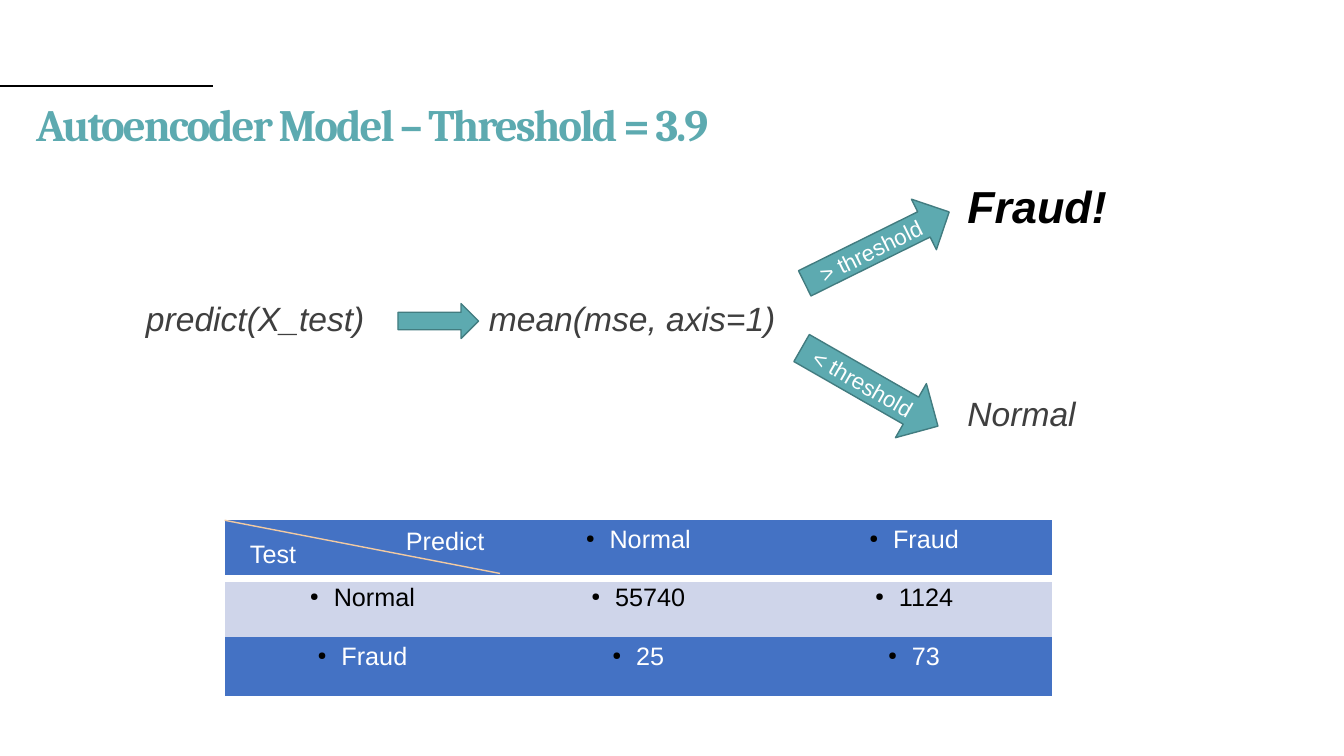
import pptx
import pptx.dml.color
import pptx.enum.shapes
import pptx.enum.text
import pptx.oxml
import pptx.oxml.ns
import pptx.util
from pptx.util import Cm

COLOURS = {
    "teal": "5DAAB0", "teal_edge": "427C80", "grey": "3F3F3F",
    "black": "000000", "white": "FFFFFF", "blue": "4472C4",
    "pale": "CFD5EA", "peach": "F2CAA2",
}
ANCHOR = pptx.enum.text.MSO_ANCHOR
ALIGN = pptx.enum.text.PP_ALIGN
NO_GRID_STYLE = "{2D5ABB26-0587-4C30-8999-92F81FD0307C}"


def colour(name):
    return pptx.dml.color.RGBColor.from_string(COLOURS[name])


def element(xml):
    """Parse one drawing element, declaring its namespace."""
    tag, rest = xml[1:].split(" ", 1)
    return pptx.oxml.parse_xml(f"<{tag} {pptx.oxml.ns.nsdecls('a')} {rest}")


class SlideBuilder:
    body = {"name": "Arial", "size": 24, "colour": "grey", "italic": True}
    label = {"name": "Arial", "size": 16, "colour": "white"}
    cell = {"name": "Arial", "size": 18, "colour": "white"}

    def __init__(self, page):
        self.page = page

    def add_span(self, para, text, style):
        span = para.add_run()
        span.text = text
        for key, value in style.items():
            if key == "colour":
                span.font.color.rgb = colour(value)
            elif key == "size":
                span.font.size = pptx.util.Pt(value)
            else:
                setattr(span.font, key, value)
        return span

    def text(self, text, left, top, width, height, style, **frame_format):
        box = self.page.shapes.add_textbox(Cm(left), Cm(top), Cm(width), Cm(height))
        frame = box.text_frame
        for key, value in {"word_wrap": True, **frame_format}.items():
            setattr(frame, key, value)
        para = frame.paragraphs[0]
        return para, self.add_span(para, text, style)

    def arrow(self, left, top, width, height, rotation=0, text=""):
        shape = self.page.shapes.add_shape(
            pptx.enum.shapes.MSO_SHAPE.RIGHT_ARROW,
            Cm(left), Cm(top), Cm(width), Cm(height))
        shape.rotation = rotation
        shape.shadow.inherit = False
        shape.fill.solid()
        shape.fill.fore_color.rgb = colour("teal")
        shape.line.color.rgb = colour("teal_edge")
        shape.line.width = pptx.util.Pt(1)
        if text:
            shape.text_frame.vertical_anchor = ANCHOR.MIDDLE
            para = shape.text_frame.paragraphs[0]
            para.alignment = ALIGN.CENTER
            self.add_span(para, text, self.label)

    def line(self, left, top, right, bottom, name, weight):
        line = self.page.shapes.add_connector(
            pptx.enum.shapes.MSO_CONNECTOR.STRAIGHT,
            Cm(left), Cm(top), Cm(right), Cm(bottom))
        line.line.color.rgb = colour(name)
        line.line.width = pptx.util.Pt(weight)
        line._element.spPr.append(element("<a:effectLst />"))

    def bullet(self, para):
        properties = para._p.get_or_add_pPr()
        properties.set("marL", str(Cm(0.6)))
        properties.set("indent", str(-Cm(0.6)))
        for xml in ('<a:buClr ><a:srgbClr val="%s"/></a:buClr>' % COLOURS["black"],
                    '<a:buSzPct val="45000"/>', '<a:buChar char="●"/>'):
            properties.append(element(xml))

    def table(self, rows, row_styles, left, top, width, height):
        table = self.page.shapes.add_table(
            len(rows), len(rows[0]), Cm(left), Cm(top), Cm(width), Cm(height)).table
        table.first_row = table.horz_banding = False
        table._tbl.tblPr[0].text = NO_GRID_STYLE
        for r, (values, (fill, ink)) in enumerate(zip(rows, row_styles)):
            for c, value in enumerate(values):
                cell = table.cell(r, c)
                cell.fill.solid()
                cell.fill.fore_color.rgb = colour(fill)
                if r == 0:
                    cell._tc.get_or_add_tcPr().insert(0, element(
                        '<a:lnB w="76200"><a:solidFill><a:srgbClr val="%s"/>'
                        "</a:solidFill></a:lnB>" % COLOURS["white"]))
                if value:
                    para = cell.text_frame.paragraphs[0]
                    para.alignment = ALIGN.CENTER
                    self.bullet(para)
                    self.add_span(para, value, {**self.cell, "colour": ink})


def main():
    deck = pptx.Presentation()
    deck.slide_width, deck.slide_height = Cm(33.87), Cm(19.05)
    slide = SlideBuilder(deck.slides.add_slide(deck.slide_layouts[6]))

    # Heading with its rule
    slide.line(0, 2.17, 5.36, 2.17, "black", 1.5)
    para, span = slide.text(
        "Autoencoder Model – Threshold = 3.9", 0.91, 1.93, 19.1, 2.62,
        {"name": "Cambria", "size": 32, "colour": "teal", "bold": True},
        vertical_anchor=ANCHOR.MIDDLE, margin_left=0)
    para.line_spacing = 0.8
    span.font._element.set("spc", "-150")

    # Decision flow
    slide.text("predict(X_test)", 3.43, 7.37, 6.6, 1.27, slide.body)
    slide.arrow(10.03, 7.65, 2.03, 0.88)
    slide.text("mean(mse, axis=1)", 12.07, 7.38, 8.89, 1.27, slide.body)
    slide.arrow(20.07, 5.53, 4.06, 1.42, -26.3, "> threshold")
    slide.arrow(19.94, 8.97, 3.96, 1.57, 29.8, "< threshold")
    slide.text("Fraud!", 24.13, 4.37, 4.27, 1.63,
               {**slide.body, "size": 32, "colour": "black", "bold": True})
    slide.text("Normal", 24.13, 9.78, 4.27, 1.27, slide.body)

    # Confusion matrix with a split corner cell
    left, top = 5.66, 13.11
    slide.table(
        [["", "Normal", "Fraud"], ["Normal", "55740", "1124"], ["Fraud", "25", "73"]],
        [("blue", "white"), ("pale", "black"), ("blue", "white")],
        left, top, 20.85, 4.42)
    slide.line(left, top, 12.6, 14.45, "peach", 1)
    slide.text("Predict", 9.98, top, 2.62, 1.02, slide.cell)
    slide.text("Test", 6.05, 13.44, 2.62, 1.02, slide.cell)

    deck.save("out.pptx")


if __name__ == "__main__":
    main()
